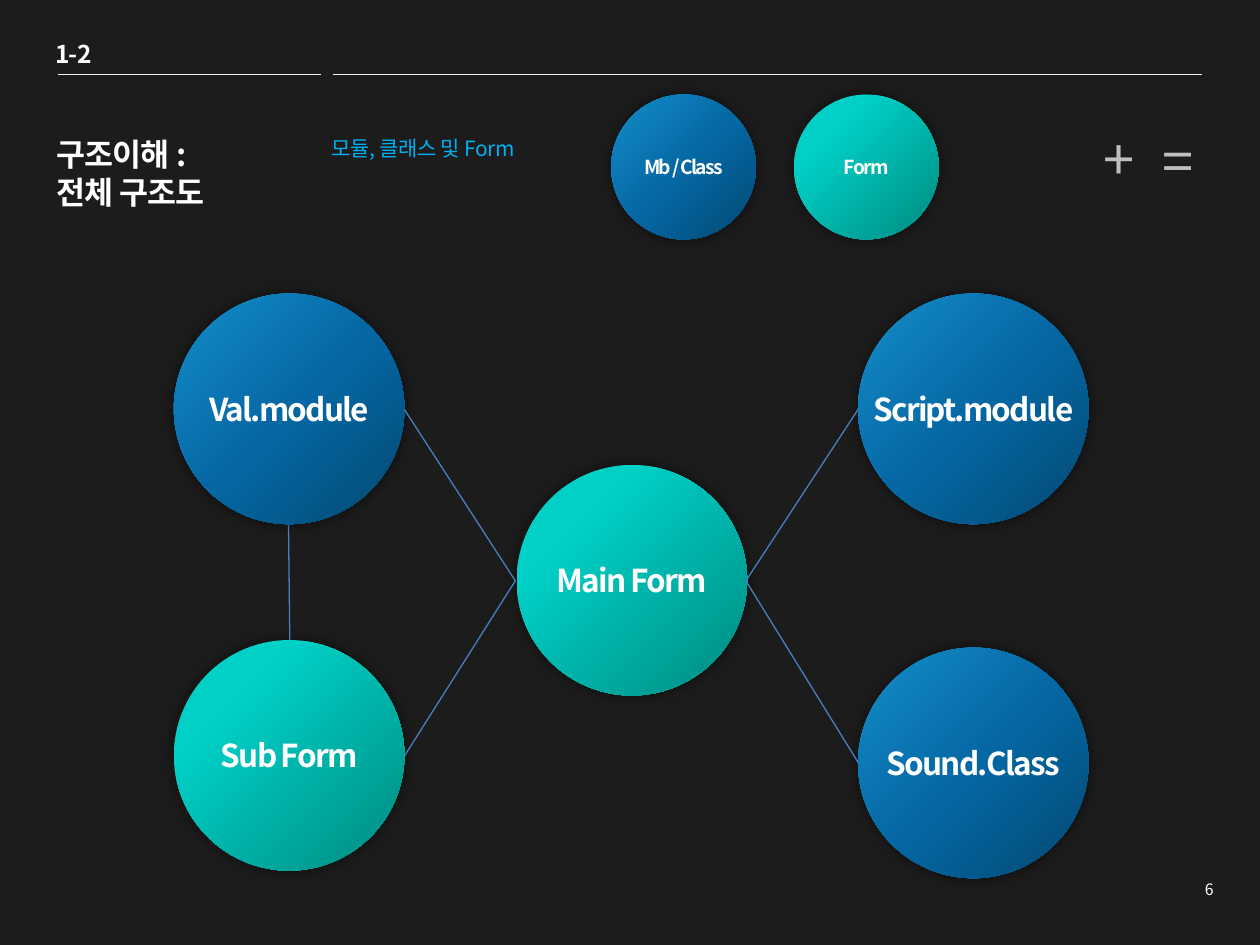
from dataclasses import dataclass

from pptx import Presentation
from pptx import util as u
from pptx.dml.color import RGBColor
from pptx.enum import shapes, text
from pptx.oxml import parse_xml
from pptx.oxml.ns import nsdecls, qn

FONT = "Noto Sans CJK KR"
WHITE, GREY, SKY, LINK = "FFFFFF", "BFBFBF", "00B0F0", "4B7EBC"
BLUE = ((0, "034973"), (50, "0568A4"), (100, "148DCA"))
TEAL = ((0, "008A80"), (74, "00D0C6"))
LEFT, CENTER, RIGHT = text.PP_ALIGN.LEFT, text.PP_ALIGN.CENTER, text.PP_ALIGN.RIGHT


@dataclass
class Style:
    size: float
    color: str = WHITE
    bold: bool = False
    tracking: float = 0
    align: text.PP_ALIGN = LEFT
    spacing: float = 1.0


@dataclass
class Node:
    label: str
    left: float
    top: float
    stops: tuple
    diameter: float = 1.83
    size: float = 18


@dataclass
class Rule:
    start: tuple
    end: tuple
    color: str
    width: float


def rgb(value: str) -> RGBColor:
    return RGBColor.from_string(value)


def write(frame, lines: list, style: Style) -> None:
    para = frame.paragraphs[0]
    para.alignment = style.align
    para.line_spacing = style.spacing
    for number, line in enumerate(lines):
        if number:
            para.add_line_break()
        span = para.add_run()
        span.text = line
        span.font.size = u.Pt(style.size)
        span.font.bold = style.bold
        span.font.name = FONT
        span.font.color.rgb = rgb(style.color)
        props = span.font._element
        props.set("spc", str(round(style.tracking * 100)))
        props.find(qn("a:latin")).addnext(
            parse_xml(f'<a:ea {nsdecls("a")} typeface="{FONT}"/>'))


def add_text(page, line: str, place: tuple, style: Style, wrap: bool = True) -> None:
    box = page.shapes.add_textbox(*map(u.Inches, place))
    box.text_frame.word_wrap = wrap
    write(box.text_frame, [line], style)


def add_node(page, node: Node) -> None:
    place = (node.left, node.top, node.diameter, node.diameter)
    circle = page.shapes.add_shape(shapes.MSO_SHAPE.OVAL, *map(u.Inches, place))
    stops = "".join(f'<a:gs pos="{pos * 1000}"><a:srgbClr val="{color}"/></a:gs>'
                    for pos, color in node.stops)
    props = circle._element.spPr
    props.append(parse_xml(
        f'<a:gradFill {nsdecls("a")} rotWithShape="1"><a:gsLst>{stops}</a:gsLst>'
        '<a:path path="circle"><a:fillToRect l="100000" t="100000"/></a:path></a:gradFill>'))
    circle.line.fill.background()
    # Soft dark glow around the circle
    props.append(parse_xml(
        f'<a:effectLst {nsdecls("a")}><a:outerShdw blurRad="{u.Pt(8)}" dist="0" dir="0">'
        '<a:srgbClr val="000000"><a:alpha val="52000"/></a:srgbClr>'
        '</a:outerShdw></a:effectLst>'))
    height = 0.4 if node.size == 18 else 0.29
    label_top = node.top + (node.diameter - height) / 2
    add_text(page, node.label, (node.left, label_top, node.diameter, height),
             Style(node.size, bold=True, tracking=-1, align=CENTER))


def add_rule(page, rule: Rule) -> None:
    line = page.shapes.add_connector(
        shapes.MSO_CONNECTOR.STRAIGHT, *map(u.Inches, rule.start + rule.end))
    line.line.color.rgb = rgb(rule.color)
    line.line.width = u.Pt(rule.width)
    line._element.spPr.append(parse_xml(f'<a:effectLst {nsdecls("a")}/>'))


def main() -> None:
    deck = Presentation()
    deck.slide_width, deck.slide_height = u.Inches(10), u.Inches(7.5)
    page = deck.slides.add_slide(deck.slide_layouts[5])
    page.background.fill.solid()
    page.background.fill.fore_color.rgb = rgb("1C1C1C")

    # Title
    title = page.shapes.title
    title.left, title.top, title.width, title.height = map(u.Inches, (0.35, 1.02, 2.2, 1.61))
    frame = title.text_frame
    frame.word_wrap = True
    frame.auto_size = text.MSO_AUTO_SIZE.NONE
    frame.vertical_anchor = text.MSO_ANCHOR.TOP
    write(frame, ["구조이해 :", "전체 구조도"], Style(18, bold=True, tracking=-0.5))

    # Header, legend symbols and page number
    symbol = Style(32, GREY, tracking=-0.5, align=CENTER, spacing=1.2)
    add_text(page, "+", (8.66, 0.83, 0.3, 0.69), symbol)
    add_text(page, "=", (9.13, 0.85, 0.3, 0.69), symbol)
    add_text(page, "1-2", (0.34, 0.26, 0.49, 0.34),
             Style(14, bold=True, tracking=-0.5), wrap=False)
    add_text(page, "모듈, 클래스 및 Form", (2.53, 1.03, 5.32, 0.3),
             Style(12, SKY, tracking=-0.2))
    add_text(page, "6", (9.45, 6.93, 0.28, 0.25), Style(9, align=RIGHT), wrap=False)
    for start, end in ((0.46, 2.55), (2.64, 9.54)):
        add_rule(page, Rule((start, 0.59), (end, 0.59), "F2F2F2", 0.25))

    # Legend and diagram circles
    for node in (
        Node("Mb / Class", 4.85, 0.75, BLUE, 1.15, 11),
        Node("Form", 6.3, 0.75, TEAL, 1.15, 11),
        Node("Main Form", 4.1, 3.69, TEAL),
        Node("Val.module", 1.38, 2.33, BLUE),
        Node("Script.module", 6.81, 2.33, BLUE),
        Node("Sound.Class", 6.81, 5.14, BLUE),
        Node("Sub Form", 1.38, 5.08, TEAL),
    ):
        add_node(page, node)

    # Links between circles
    main_left, main_right = (4.09, 4.61), (5.92, 4.61)
    for start, end in (
        ((2.29, 4.17), (2.3, 5.08)),
        ((3.21, 3.25), main_left),
        ((3.21, 6), main_left),
        (main_right, (6.81, 3.25)),
        (main_right, (6.81, 6.05)),
    ):
        add_rule(page, Rule(start, end, LINK, 0.75))

    deck.save("out.pptx")


if __name__ == "__main__":
    main()
